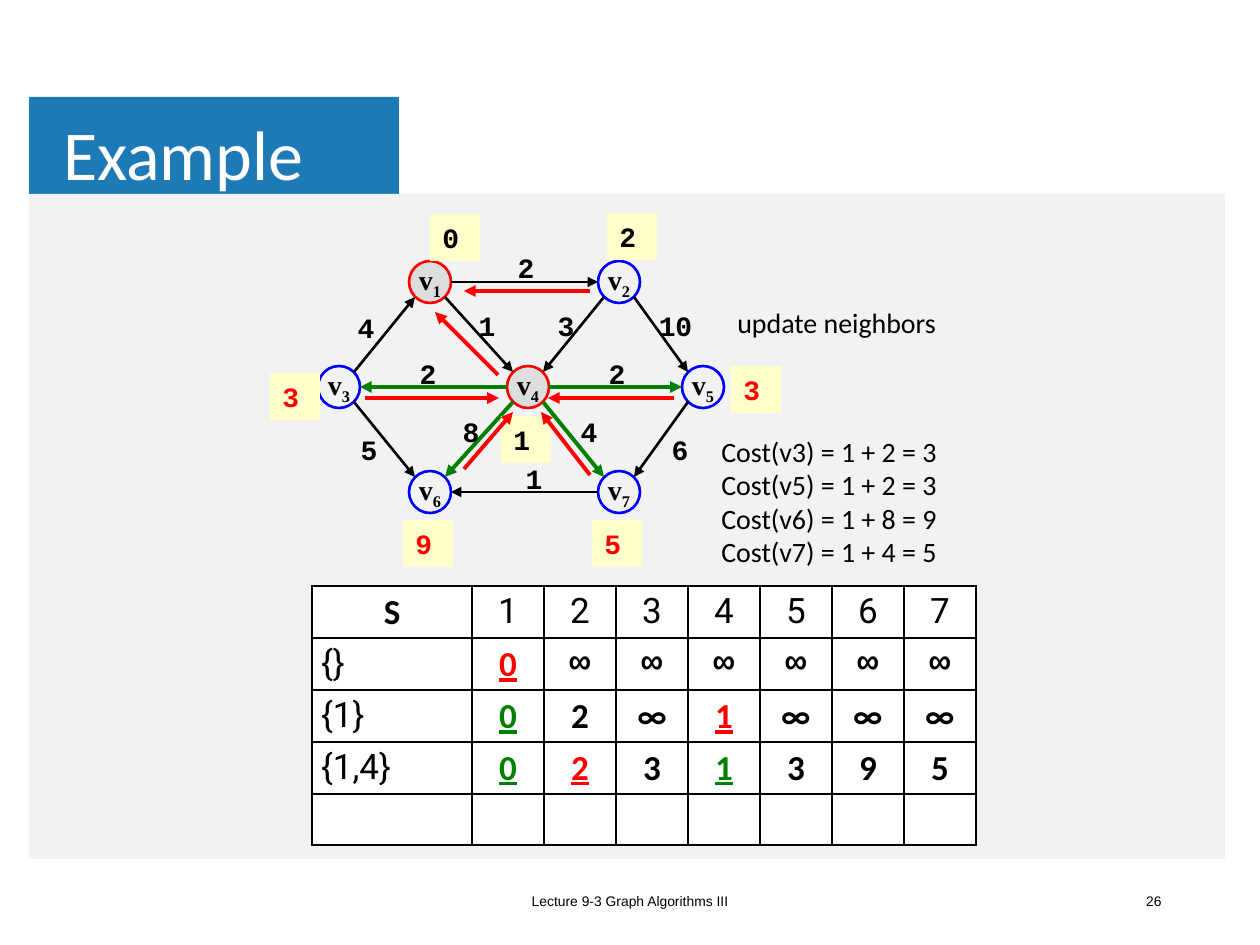
"""Build the shortest-path example slide with its graph and cost table."""
from lxml.etree import SubElement
from pptx import Presentation
from pptx.dml.color import RGBColor
from pptx.enum.shapes import MSO_CONNECTOR, MSO_SHAPE
from pptx.enum.text import MSO_ANCHOR, MSO_AUTO_SIZE, PP_ALIGN
from pptx.oxml.ns import qn
from pptx.util import Emu, Pt

RECTANGLE, OVAL = MSO_SHAPE.RECTANGLE, MSO_SHAPE.OVAL
STRAIGHT = MSO_CONNECTOR.STRAIGHT
TOP, MIDDLE = MSO_ANCHOR.TOP, MSO_ANCHOR.MIDDLE
LEFT, CENTER, RIGHT = PP_ALIGN.LEFT, PP_ALIGN.CENTER, PP_ALIGN.RIGHT
NO_FIT = MSO_AUTO_SIZE.NONE
EMU_PER_PX = 914400 / 126
TITLE_ONLY = 5

COLORS = {
    "black": "000000", "white": "FFFFFF", "red": "FF0000", "green": "008000",
    "blue": "0000FF", "visited": "DDDDDD", "tag": "FFFFCC",
    "banner": "1E7AB6", "panel": "F2F2F2",
}
DIAMETER, DIAGONAL = 42, 15
NODES = {1: (430, 282), 2: (619, 282), 3: (339, 387), 4: (528, 387),
         5: (703, 387), 6: (430, 492), 7: (619, 492)}
VISITED = (1, 4)
EDGES = [(7, 6), (4, 3), (1, 2), (4, 5), (2, 5), (5, 7),
         (1, 4), (2, 4), (3, 1), (3, 6), (4, 7), (4, 6)]
WEIGHTS = [("4", 341, 304), ("1", 462, 302), ("2", 501, 244), ("10", 641, 302),
           ("3", 541, 302), ("6", 655, 426), ("4", 564, 408), ("2", 592, 350),
           ("2", 403, 350), ("8", 446, 408), ("5", 344, 426), ("1", 509, 455)]
TAGS = [("0", 430, 214, "black"), ("2", 607, 213, "black"), ("3", 270, 373, "red"),
        ("3", 731, 366, "red"), ("1", 501, 416, "black"), ("9", 403, 520, "red"),
        ("5", 592, 520, "red")]
BACK_ARROWS = [((674, 398), (548, 398)), ((590, 475), (541, 412)),
               ((464, 469), (513, 412)), ((365, 398), (499, 398)),
               ((498, 375), (435, 312)), ((590, 291), (464, 291))]
COSTS = ["Cost(v3) = 1 + 2 = 3", "Cost(v5) = 1 + 2 = 3",
         "Cost(v6) = 1 + 8 = 9", "Cost(v7) = 1 + 4 = 5"]
CELL_STYLES = {
    "plain": {"font": "Roboto"},
    "bold": {"font": "Calibri", "bold": True},
    "mono": {"font": "Courier New", "bold": True},
    "chosen": {"font": "Calibri", "bold": True, "color": "red", "underline": True},
    "settled": {"font": "Calibri", "bold": True, "color": "green", "underline": True},
}
TABLE_ROWS = [
    [("S", "bold")] + [(str(number), "plain") for number in NODES],
    [("{}", "plain"), ("0", "chosen")] + [("∞", "mono")] * 6,
    [("{1}", "plain"), ("0", "settled"), ("2", "bold"), ("∞", "bold"),
     ("1", "chosen")] + [("∞", "bold")] * 3,
    [("{1,4}", "plain"), ("0", "settled"), ("2", "chosen"), ("3", "bold"),
     ("1", "settled"), ("3", "bold"), ("9", "bold"), ("5", "bold")],
    [("", "plain")] * 8,
]


def px(*lengths):
    """Turn pixel lengths into a list of EMU lengths."""
    return [Emu(round(length * EMU_PER_PX)) for length in lengths]


def rgb(name):
    """Look up a named colour."""
    return RGBColor.from_string(COLORS[name])


def add_span(para, text, font, size, color="black", bold=False, underline=False):
    """Add one formatted run to a paragraph."""
    span = para.add_run()
    span.text = text
    span.font.name, span.font.size = font, Pt(size)
    span.font.bold, span.font.underline = bold, underline
    span.font.color.rgb = rgb(color)
    return span


def write_lines(frame, lines, align=LEFT, anchor=TOP, wrap=True, **style):
    """Fill a text frame with one paragraph for each line."""
    frame.word_wrap, frame.vertical_anchor = wrap, anchor
    for index, line in enumerate(lines):
        para = frame.add_paragraph() if index else frame.paragraphs[0]
        para.alignment = align
        add_span(para, line, **style)


def add_text(slide, place, lines, **style):
    """Add a text box."""
    box = slide.shapes.add_textbox(*px(*place))
    write_lines(box.text_frame, lines, **style)


def add_block(slide, kind, place, fill=None, line=None):
    """Add a flat shape with an optional fill and outline."""
    shape = slide.shapes.add_shape(kind, *px(*place))
    shape.shadow.inherit = False
    if fill:
        shape.fill.solid()
        shape.fill.fore_color.rgb = rgb(fill)
    else:
        shape.fill.background()
    if line:
        shape.line.color.rgb = rgb(line)
        shape.line.width = Pt(1.5)
    else:
        shape.line.fill.background()
    return shape


def add_arrow(slide, start, end, color, width):
    """Add a straight arrow with its head at the end point."""
    arrow = slide.shapes.add_connector(STRAIGHT, *px(*start, *end))
    arrow.line.color.rgb = rgb(color)
    arrow.line.width = Pt(width)
    properties = arrow.element.spPr
    SubElement(properties.find(qn("a:ln")), qn("a:tailEnd"), type="triangle")
    SubElement(properties, qn("a:effectLst"))


def add_node(slide, number):
    """Add a graph node with a subscripted name."""
    x, y = NODES[number]
    fill, line = ("visited", "red") if number in VISITED else (None, "blue")
    radius = DIAMETER // 2
    node = add_block(slide, OVAL, (x - radius, y - radius, DIAMETER, DIAMETER), fill, line)
    style = {"font": "Times New Roman", "size": 16, "bold": True}
    write_lines(node.text_frame, ["v"], CENTER, MIDDLE, wrap=False, **style)
    index = add_span(node.text_frame.paragraphs[0], str(number), **style)
    index.font._element.set("baseline", "-25000")


def add_edge(slide, source, target):
    """Join the rims of two nodes, in green when leaving the current node."""
    (x1, y1), (x2, y2) = NODES[source], NODES[target]
    side = 1 if x2 > x1 else -1
    drop = (y2 > y1) - (y2 < y1)
    dx = side * (DIAGONAL if drop else DIAMETER // 2)
    dy = drop * DIAGONAL
    color, width = ("green", 2.25) if source == 4 else ("black", 1.5)
    add_arrow(slide, (x1 + dx, y1 + dy), (x2 - dx, y2 - dy), color, width)


def add_title(slide, text):
    """Place the title over the banner."""
    title = slide.shapes.title
    title.left, title.top, title.width, title.height = px(54, 96, 1012, 123)
    frame = title.text_frame
    frame.auto_size = NO_FIT
    frame.margin_left, frame.margin_top, frame.margin_right, frame.margin_bottom = px(9, 5, 9, 5)
    write_lines(frame, [text], anchor=MIDDLE, font="Calibri", size=40, color="white")
    frame.paragraphs[0].line_spacing = 0.9
    title.element.getparent().append(title.element)


def format_cell(cell):
    """Give a cell its margins, black borders and white fill."""
    cell.margin_left, cell.margin_top, cell.margin_right, cell.margin_bottom = px(9, 5, 9, 5)
    properties = cell._tc.get_or_add_tcPr()
    for side in ("lnL", "lnR", "lnT", "lnB"):
        border = SubElement(properties, qn(f"a:{side}"), w=str(Pt(1)))
        paint = SubElement(border, qn("a:solidFill"))
        SubElement(paint, qn("a:srgbClr"), val=COLORS["black"])
    cell.fill.solid()
    cell.fill.fore_color.rgb = rgb("white")


def add_cost_table(slide):
    """Add the table of costs for each settled set."""
    place = px(312, 586, 662, 257)
    table = slide.shapes.add_table(len(TABLE_ROWS), len(TABLE_ROWS[0]), *place).table
    for index, column in enumerate(table.columns):
        column.width = px(72 if index else 160)[0]
    for row, entries in enumerate(TABLE_ROWS):
        table.rows[row].height = px(51)[0]
        for column, (text, style) in enumerate(entries):
            cell = table.cell(row, column)
            format_cell(cell)
            cell.vertical_anchor = MIDDLE if row else TOP
            if text:
                para = cell.text_frame.paragraphs[0]
                para.alignment = LEFT if row and not column else CENTER
                add_span(para, text, size=20, **CELL_STYLES[style])


def main():
    """Build and save the deck."""
    deck = Presentation()
    deck.slide_width, deck.slide_height = px(1260, 945)
    slide = deck.slides.add_slide(deck.slide_layouts[TITLE_ONLY])
    add_block(slide, RECTANGLE, (29, 97, 370, 210), "banner")
    add_block(slide, RECTANGLE, (29, 194, 1196, 665), "panel")
    add_title(slide, "Example")
    footer = {"anchor": MIDDLE, "font": "Arial", "size": 7.9}
    add_text(slide, (417, 876, 426, 50), ["Lecture 9-3 Graph Algorithms III"], align=CENTER, **footer)
    add_text(slide, (891, 876, 283, 50), ["26"], align=RIGHT, **footer)
    for number in NODES:
        add_node(slide, number)
    for source, target in EDGES:
        add_edge(slide, source, target)
    mono = {"font": "Courier New", "size": 16, "bold": True}
    for text, x, y in WEIGHTS:
        width = 31 + 19 * len(text)
        add_text(slide, (x, y, width, 47), [text], align=CENTER, anchor=MIDDLE, **mono)
    for text, x, y, color in TAGS:
        tag = add_block(slide, RECTANGLE, (x, y, 50, 47), "tag")
        write_lines(tag.text_frame, [text], color=color, **mono)
    for start, end in BACK_ARROWS:
        add_arrow(slide, start, end, "red", 2.25)
    add_text(slide, (725, 299, 300, 47), ["update neighbors"], font="Calibri", size=16)
    add_text(slide, (709, 428, 343, 149), COSTS, font="Calibri", size=16)
    add_cost_table(slide)
    deck.save("out.pptx")


if __name__ == "__main__":
    main()
